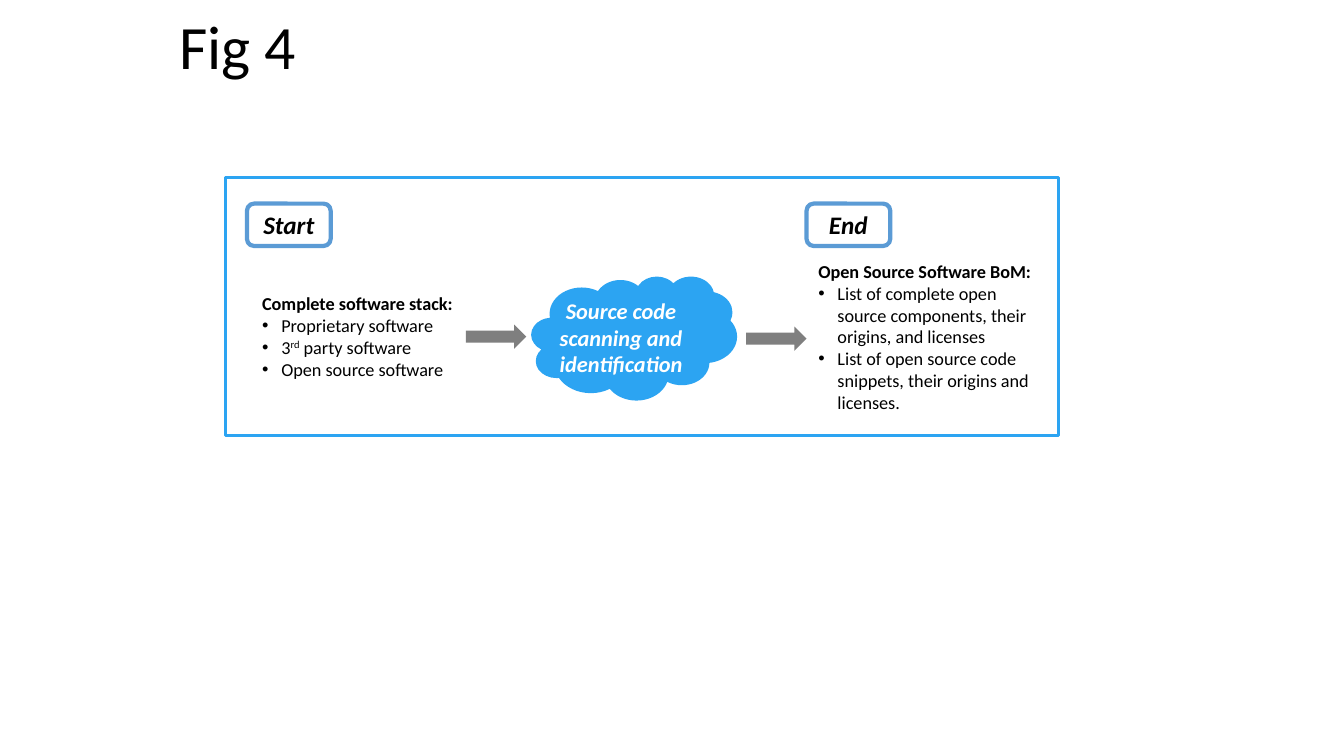
import pptx
import pptx.dml.color
import pptx.enum.shapes
import pptx.enum.text
import pptx.oxml.ns
import pptx.util
from lxml import etree

Inches = pptx.util.Inches
SHAPE = pptx.enum.shapes.MSO_SHAPE
ALIGN = pptx.enum.text.PP_ALIGN
ANCHOR = pptx.enum.text.MSO_ANCHOR

COLOURS = {
    "black": "000000",
    "white": "FFFFFF",
    "sky": "2CA4F2",
    "steel": "5B9BD5",
    "grey": "7F7F7F",
}


def colour(name):
    return pptx.dml.color.RGBColor.from_string(COLOURS[name])


class FlowSlide:
    font_name = "Calibri"
    bullet_indent = Inches(0.19)

    def __init__(self, deck):
        self.slide = deck.slides.add_slide(deck.slide_layouts[5])

    def set_font(self, para, size, ink="black", bold=False, italic=False):
        font = para.font
        font.name, font.size = self.font_name, pptx.util.Pt(size)
        font.bold, font.italic = bold, italic
        font.color.rgb = colour(ink)

    def prepare_frame(self, box, anchor):
        frame = box.text_frame
        frame.word_wrap = True
        frame.auto_size = pptx.enum.text.MSO_AUTO_SIZE.NONE
        frame.vertical_anchor = anchor
        return frame

    def title(self, text, *bounds):
        box = self.slide.shapes.title
        box.left, box.top, box.width, box.height = map(Inches, bounds)
        para = self.prepare_frame(box, ANCHOR.TOP).paragraphs[0]
        para.text = text
        para.alignment = ALIGN.LEFT
        para.line_spacing = 0.9
        self.set_font(para, 44)

    def shape(self, kind, *bounds, fill=None, line=None, line_width=0):
        shape = self.slide.shapes.add_shape(kind, *map(Inches, bounds))
        shape.shadow.inherit = False
        if fill:
            shape.fill.solid()
            shape.fill.fore_color.rgb = colour(fill)
        else:
            shape.fill.background()
        if line:
            shape.line.color.rgb = colour(line)
            shape.line.width = pptx.util.Pt(line_width)
        else:
            shape.line.fill.background()
        return shape

    def centred_text(self, box, text, size, ink="black"):
        para = self.prepare_frame(box, ANCHOR.MIDDLE).paragraphs[0]
        para.text = text
        para.alignment = ALIGN.CENTER
        self.set_font(para, size, ink, bold=True, italic=True)

    def cloud(self, text, *bounds, text_bounds):
        cloud = self.shape(SHAPE.CLOUD_CALLOUT, *bounds, fill="sky")
        cloud.adjustments[0], cloud.adjustments[1] = -0.07, 0.05
        label = self.slide.shapes.add_textbox(*map(Inches, text_bounds))
        self.centred_text(label, text, 16, "white")

    def stage_label(self, text, left):
        box = self.shape(SHAPE.ROUNDED_RECTANGLE, left, 2.02, 0.83, 0.42,
                         line="steel", line_width=3)
        self.centred_text(box, text, 18)

    def bullet_panel(self, heading, items, *bounds, fill=None):
        """Each item is a list of (text, is_superscript) pieces."""
        box = self.shape(SHAPE.ROUNDED_RECTANGLE, *bounds, fill=fill)
        frame = self.prepare_frame(box, ANCHOR.MIDDLE)
        para = frame.paragraphs[0]
        para.text = heading
        para.alignment = ALIGN.LEFT
        self.set_font(para, 13, bold=True)
        for pieces in items:
            para = frame.add_paragraph()
            para.alignment = ALIGN.LEFT
            self.add_bullet(para)
            self.set_font(para, 13)
            for text, is_superscript in pieces:
                span = para.add_run()
                span.text = text
                if is_superscript:
                    span._r.get_or_add_rPr().set("baseline", "30000")

    def add_bullet(self, para):
        properties = para._p.get_or_add_pPr()
        properties.set("marL", str(self.bullet_indent))
        properties.set("indent", str(-self.bullet_indent))
        for tag, key, value in (("a:buFont", "typeface", "Arial"),
                                ("a:buChar", "char", "•")):
            bullet = etree.SubElement(properties, pptx.oxml.ns.qn(tag))
            bullet.set(key, value)


def main():
    deck = pptx.Presentation()
    deck.slide_width, deck.slide_height = Inches(13.33), Inches(7.5)
    page = FlowSlide(deck)

    page.title("Fig 4", 1.68, 0.11, 11.5, 1.45)
    page.shape(SHAPE.RECTANGLE, 2.24, 1.76, 8.26, 2.56,
               fill="white", line="sky", line_width=2.25)
    page.cloud("Source code scanning and identification",
               5.27, 2.74, 2.04, 1.23, text_bounds=(5.32, 2.84, 1.68, 1.01))
    page.bullet_panel(
        "Complete software stack:",
        [[("Proprietary software", False)],
         [("3", False), ("rd", True), (" party software", False)],
         [("Open source software", False)]],
        2.45, 2.8, 2.23, 1.07)
    page.bullet_panel(
        "Open Source Software BoM:",
        [[("List of complete open source components, their origins, "
           "and licenses", False)],
         [("List of open source code snippets, their origins and "
           "licenses.", False)]],
        7.93, 2.44, 2.52, 1.8, fill="white")
    for left, top in ((4.62, 3.22), (7.4, 3.24)):
        page.shape(SHAPE.RIGHT_ARROW, left, top, 0.6, 0.24, fill="grey")
    for text, left in (("Start", 2.45), ("End", 8)):
        page.stage_label(text, left)

    deck.save("out.pptx")


if __name__ == "__main__":
    main()
